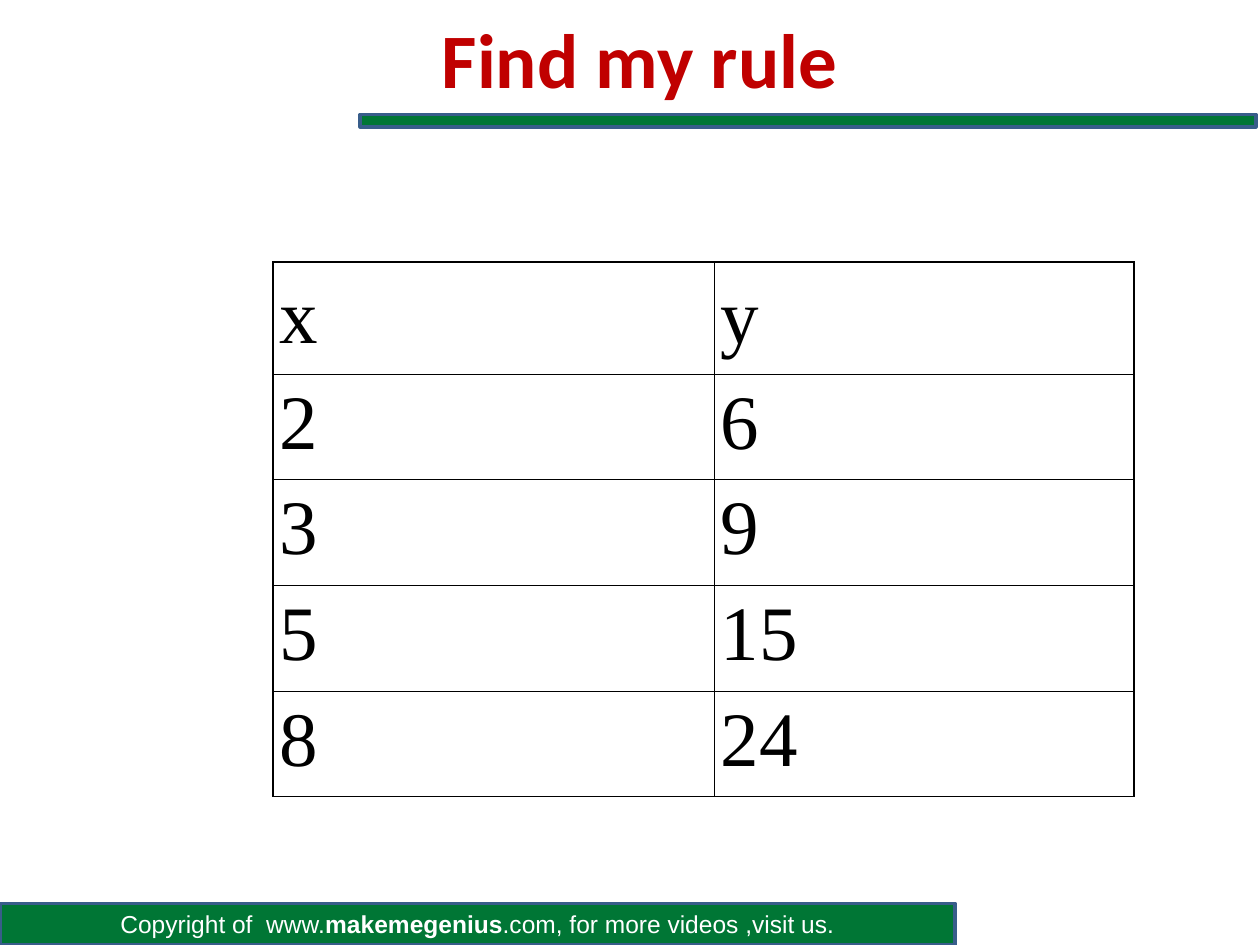
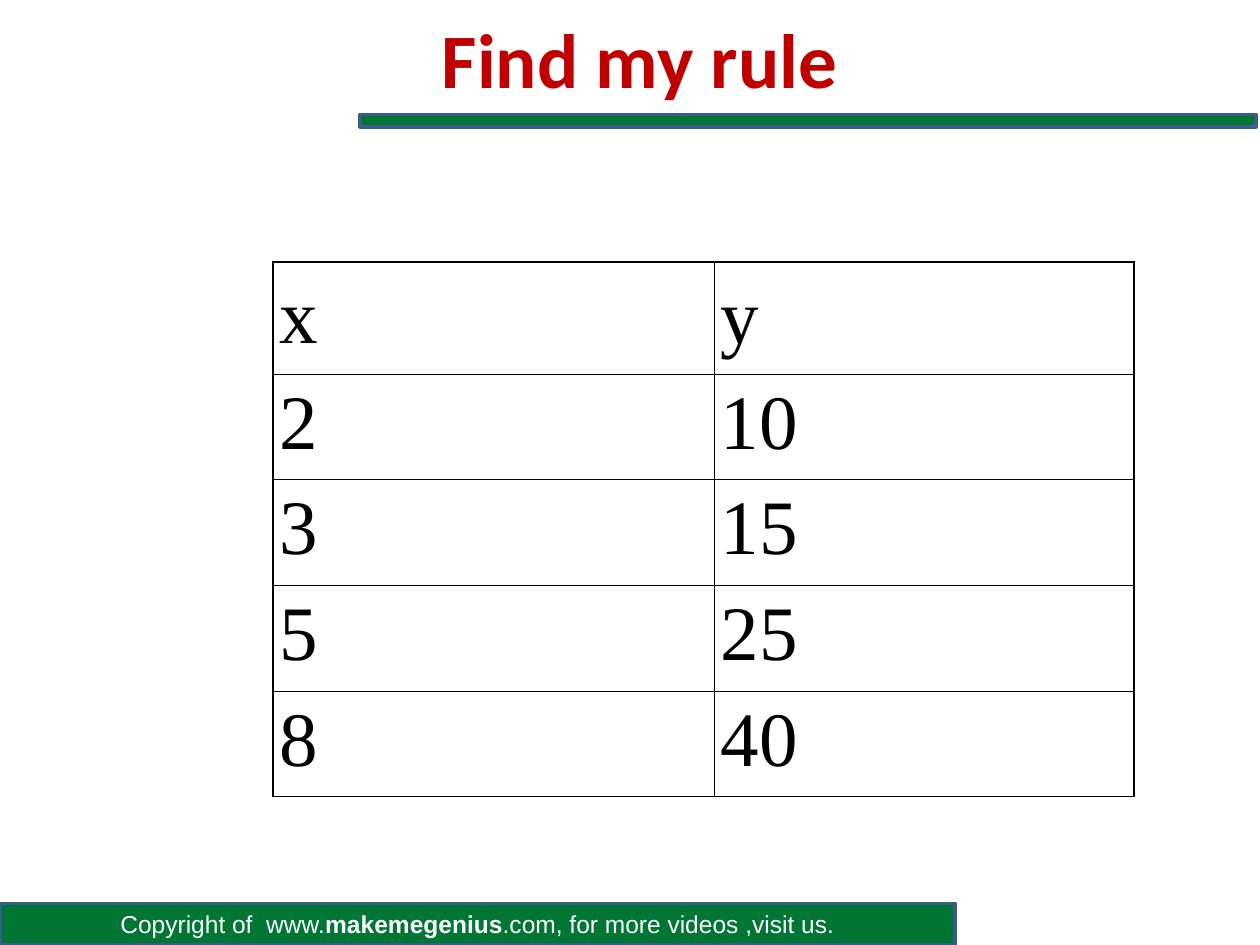
"""Build two "Find my rule" slides, each with a table of x and y values."""
from dataclasses import dataclass

from lxml import etree
from pptx import Presentation
from pptx import util as u
from pptx.dml import color
from pptx.enum import shapes, text
from pptx.oxml import ns


@dataclass(frozen=True)
class Theme:
    green: str = "007635"
    outline: str = "385D8A"
    red: str = "C00000"
    white: str = "FFFFFF"
    black: str = "000000"
    heading_font: str = "Calibri"
    footer_font: str = "Arial"
    table_font: str = "Times New Roman"
    large: int = 44
    small: int = 14
    band_line: float = 2
    outer_line: float = 1.08
    inner_line: float = 0.45


def write(paragraph, words, *, font, size, ink, bold=False, align=None):
    run = paragraph.add_run()
    run.text = words
    run.font.name = font
    run.font.size = u.Pt(size)
    run.font.bold = bold
    run.font.color.rgb = color.RGBColor.from_string(ink)
    if align is not None:
        paragraph.alignment = align


def set_border(cell, side, width, ink, position):
    line = etree.Element(ns.qn(f"a:ln{side}"), w=str(u.Pt(width)))
    fill = etree.SubElement(line, ns.qn("a:solidFill"))
    etree.SubElement(fill, ns.qn("a:srgbClr"), val=ink)
    cell._tc.get_or_add_tcPr().insert(position, line)


class Deck:
    def __init__(self, theme):
        self.theme = theme
        self.show = Presentation()
        self.show.slide_width, self.show.slide_height = u.Cm(25.4), u.Cm(19.05)
        self.slide = None

    def start_slide(self, heading):
        self.slide = self.show.slides.add_slide(self.show.slide_layouts[5])
        self.footer()
        self.band(7.26, 2.31, 18.06, 0.25)
        self.title(heading)

    def band(self, left, top, width, height):
        band = self.slide.shapes.add_shape(
            shapes.MSO_SHAPE.RECTANGLE, *map(u.Cm, (left, top, width, height)))
        band.shadow.inherit = False
        band.fill.solid()
        band.fill.fore_color.rgb = color.RGBColor.from_string(self.theme.green)
        band.line.color.rgb = color.RGBColor.from_string(self.theme.outline)
        band.line.width = u.Pt(self.theme.band_line)
        return band

    def footer(self):
        frame = self.band(0, 18.21, 19.25, 0.84).text_frame
        frame.word_wrap = True
        frame.vertical_anchor = text.MSO_ANCHOR.MIDDLE
        for words, bold in (("Copyright of  www.", False), ("makemegenius", True),
                            (".com, for more videos ,visit us.", False)):
            write(frame.paragraphs[0], words, font=self.theme.footer_font,
                  size=self.theme.small, ink=self.theme.white, bold=bold,
                  align=text.PP_ALIGN.CENTER)

    def title(self, heading):
        title = self.slide.shapes.title
        title.left, title.top = u.Cm(1.47), u.Cm(-0.43)
        title.width, title.height = u.Cm(22.86), u.Cm(3.18)
        title.text_frame.auto_size = text.MSO_AUTO_SIZE.NONE
        title.text_frame.vertical_anchor = text.MSO_ANCHOR.MIDDLE
        write(title.text_frame.paragraphs[0], heading, font=self.theme.heading_font,
              size=self.theme.large, ink=self.theme.red, bold=True,
              align=text.PP_ALIGN.CENTER)

    def table(self, rows):
        widths = (8.89, 8.46)
        heights = (2.26,) + (2.13,) * (len(rows) - 1)
        table = self.slide.shapes.add_table(
            len(rows), len(widths), u.Cm(5.51), u.Cm(5.28),
            u.Cm(sum(widths)), u.Cm(sum(heights))).table
        table.first_row = table.horz_banding = False
        for column, width in zip(table.columns, widths):
            column.width = u.Cm(width)
        last_row, last_column = len(rows) - 1, len(widths) - 1
        for r, (values, height) in enumerate(zip(rows, heights)):
            table.rows[r].height = u.Cm(height)
            for c, value in enumerate(values):
                edges = {"L": c == 0, "R": c == last_column,
                         "T": r == 0, "B": r == last_row}
                self.cell(table.cell(r, c), value, edges, heading=r == 0)

    def cell(self, cell, value, edges, heading):
        cell.fill.background()
        cell.margin_left = cell.margin_right = u.Cm(0.13)
        cell.margin_top = cell.margin_bottom = u.Cm(0.13)
        cell.vertical_anchor = text.MSO_ANCHOR.MIDDLE if heading else text.MSO_ANCHOR.TOP
        write(cell.text_frame.paragraphs[0], str(value), font=self.theme.table_font,
              size=self.theme.large, ink=self.theme.black)
        for position, (side, outer) in enumerate(edges.items()):
            width = self.theme.outer_line if outer else self.theme.inner_line
            set_border(cell, side, width, self.theme.black, position)


def main():
    deck = Deck(Theme())
    for factor in (3, 5):
        deck.start_slide("Find my rule")
        deck.table([("x", "y")] + [(x, factor * x) for x in (2, 3, 5, 8)])
    deck.show.save("out.pptx")


if __name__ == "__main__":
    main()
